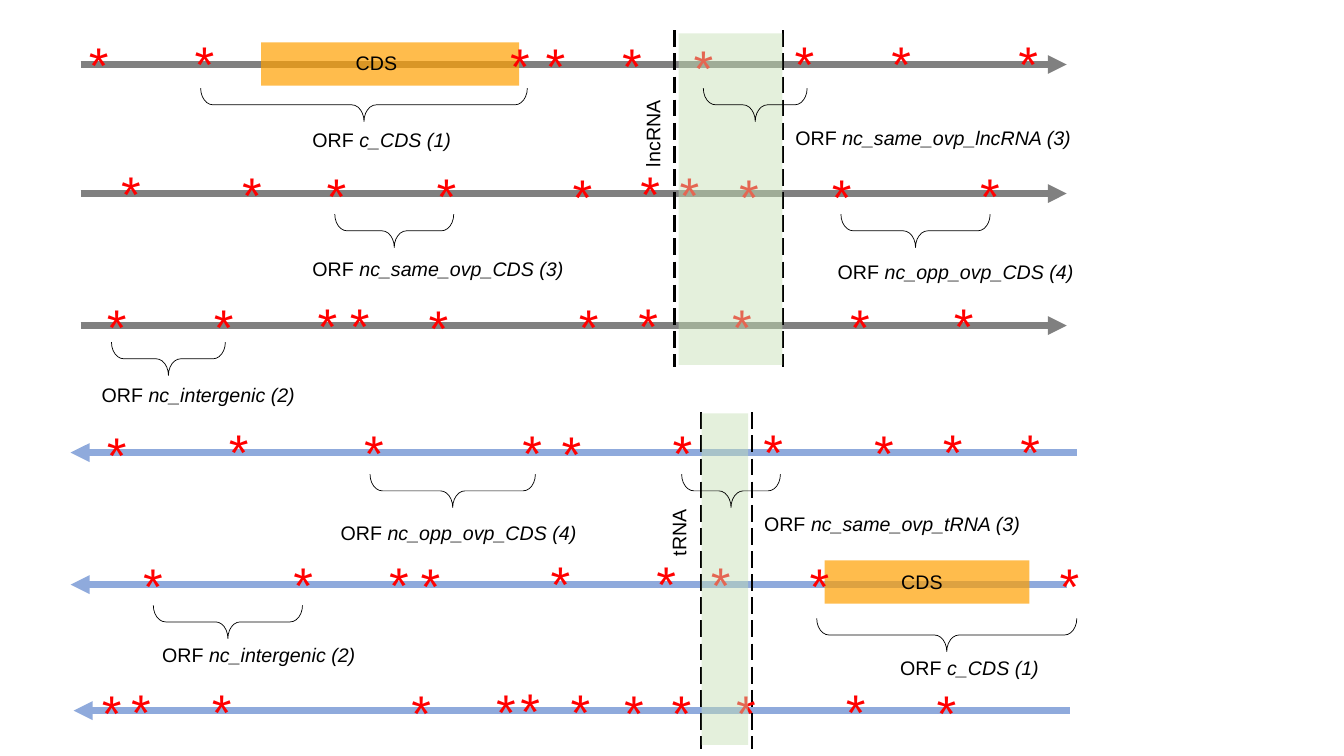
from dataclasses import dataclass

import pptx
import pptx.dml.color
import pptx.enum.dml
import pptx.enum.shapes
import pptx.enum.text
import pptx.oxml
import pptx.oxml.ns
import pptx.shapes.autoshape
import pptx.shapes.connector
import pptx.slide
import pptx.text.text
import pptx.util

Inches = pptx.util.Inches
Pt = pptx.util.Pt


@dataclass(frozen=True)
class Theme:
    forward: str = "808080"
    reverse: str = "8FAADC"
    coding: str = "FFA000"
    rna: str = "C5E0B4"
    stop: str = "FF0000"
    ink: str = "000000"
    coding_alpha: int = 70
    rna_alpha: int = 46
    label_font: str = "Arial"
    stop_font: str = "Courier New"
    label_size: float = 14
    stop_size: float = 36
    strand_width: float = 4.5
    border_width: float = 1.5
    brace_width: float = 0.5


THEME = Theme()
LABEL_HEIGHT = 0.34
BRACE_DEPTH = 0.33


@dataclass(frozen=True)
class Frame:
    """A reading frame; stops are (left, top) of each stop codon mark."""
    start: float
    end: float
    y: float
    color: str
    stops: tuple[tuple[float, float], ...]


@dataclass(frozen=True)
class Coding:
    left: float
    top: float
    width: float
    label_left: float
    label_top: float


@dataclass(frozen=True)
class RnaGene:
    name: str
    label_left: float
    label_top: float
    label_width: float
    left: float
    top: float
    width: float
    borders: tuple[float, float]
    border_top: float


@dataclass(frozen=True)
class Orf:
    """A brace given by its centre and span, with its label."""
    kind: str
    center_x: float
    center_y: float
    span: float
    label_left: float
    label_top: float
    label_width: float


FRAMES = [
    Frame(0.8, 10.58, 0.64, THEME.forward, (
        (0.73, 0.3), (1.78, 0.29), (4.91, 0.31), (5.26, 0.31), (6.02, 0.31),
        (6.73, 0.33), (7.73, 0.29), (8.69, 0.29), (9.95, 0.29))),
    Frame(0.8, 10.58, 1.92, THEME.forward, (
        (1.05, 1.58), (2.25, 1.59), (3.09, 1.6), (4.18, 1.6), (5.53, 1.61),
        (6.2, 1.58), (6.59, 1.59), (7.18, 1.61), (8.1, 1.61), (9.57, 1.6))),
    Frame(0.8, 10.58, 3.23, THEME.forward, (
        (0.91, 2.9), (1.97, 2.9), (3, 2.89), (3.32, 2.89), (4.1, 2.91),
        (5.59, 2.9), (6.18, 2.89), (7.11, 2.9), (8.28, 2.9), (9.31, 2.89))),
    Frame(10.68, 0.7, 4.49, THEME.reverse, (
        (0.91, 4.17), (2.12, 4.14), (3.46, 4.15), (5.03, 4.15), (5.42, 4.16),
        (6.52, 4.15), (7.42, 4.14), (8.52, 4.15), (9.2, 4.14), (9.97, 4.14))),
    Frame(10.58, 0.7, 5.8, THEME.reverse, (
        (1.27, 5.47), (2.76, 5.46), (3.71, 5.46), (4.02, 5.47), (5.31, 5.45),
        (6.36, 5.45), (6.9, 5.46), (7.88, 5.47), (10.36, 5.47))),
    Frame(10.61, 0.73, 7.05, THEME.reverse, (
        (0.86, 6.73), (1.15, 6.72), (1.95, 6.72), (3.93, 6.73), (4.77, 6.72),
        (5.01, 6.71), (5.51, 6.72), (6.04, 6.73), (6.51, 6.73), (7.15, 6.73),
        (8.24, 6.72), (9.14, 6.73))),
]

CODING = [
    Coding(2.59, 0.42, 2.56, 3.43, 0.46),
    Coding(8.18, 5.56, 2.03, 8.84, 5.61),
]

RNA_GENES = [
    RnaGene("lncRNA", 6.04, 1.15, 0.87, 6.73, 0.33, 1.03, (6.69, 7.77), 0.3),
    RnaGene("tRNA", 6.4, 5.11, 0.67, 6.96, 4.1, 0.46, (6.95, 7.46), 4.09),
]

# Labels of ORFs that overlap an RNA gene start right of its border
ORFS = [
    Orf("c_CDS (1)", 3.61, 1.04, 3.24, 3, 1.22, 1.59),
    Orf("nc_same_ovp_lncRNA (3)", 7.49, 1.04, 1.03, 7.79, 1.2, 2.95),
    Orf("nc_same_ovp_CDS (3)", 3.91, 2.29, 1.18, 3, 2.5, 2.71),
    Orf("nc_opp_ovp_CDS (4)", 9.08, 2.29, 1.48, 8.21, 2.53, 2.55),
    Orf("nc_intergenic (2)", 1.67, 3.56, 1.13, 0.91, 3.75, 2.13),
    Orf("nc_opp_ovp_CDS (4)", 4.49, 4.87, 1.64, 3.28, 5.12, 2.55),
    Orf("nc_same_ovp_tRNA (3)", 7.25, 4.87, 0.98, 7.48, 5.03, 2.74),
    Orf("nc_intergenic (2)", 2.26, 6.17, 1.48, 1.51, 6.33, 2.13),
    Orf("c_CDS (1)", 9.39, 6.3, 2.58, 8.83, 6.46, 1.59),
]


def rgb(color: str) -> pptx.dml.color.RGBColor:
    return pptx.dml.color.RGBColor.from_string(color)


def add_child(parent, tag: str, **attributes: str) -> None:
    child = pptx.oxml.parse_xml(f"<{tag} {pptx.oxml.ns.nsdecls('a')}/>")
    for name, value in attributes.items():
        child.set(name, value)
    parent.append(child)


def draw_line(slide: pptx.slide.Slide, start: tuple[float, float], end: tuple[float, float],
              color: str, width: float) -> pptx.shapes.connector.Connector:
    line = slide.shapes.add_connector(pptx.enum.shapes.MSO_CONNECTOR.STRAIGHT,
                                      *map(Inches, start + end))
    line.line.color.rgb = rgb(color)
    line.line.width = Pt(width)
    add_child(line.element.spPr, "a:effectLst")
    return line


def draw_block(slide: pptx.slide.Slide, left: float, top: float, width: float,
               height: float, color: str, alpha: int) -> None:
    block = slide.shapes.add_shape(pptx.enum.shapes.MSO_SHAPE.RECTANGLE,
                                   *map(Inches, (left, top, width, height)))
    block.shadow.inherit = False
    block.fill.solid()
    block.fill.fore_color.rgb = rgb(color)
    block.line.fill.background()
    tint = block.element.spPr.find(".//" + pptx.oxml.ns.qn("a:srgbClr"))
    add_child(tint, "a:alpha", val=str(alpha * 1000))


def draw_text(slide: pptx.slide.Slide, text: str, left: float, top: float, width: float,
              height: float = LABEL_HEIGHT, font: str = THEME.label_font,
              size: float = THEME.label_size, color: str = THEME.ink, italic_tail: str = "",
              rotation: float = 0) -> None:
    label = slide.shapes.add_textbox(*map(Inches, (left, top, width, height)))
    label.rotation = rotation
    label.text_frame.word_wrap = False
    label.text_frame.auto_size = pptx.enum.text.MSO_AUTO_SIZE.SHAPE_TO_FIT_TEXT
    paragraph = label.text_frame.paragraphs[0]
    paragraph.text = text
    if italic_tail:
        tail = paragraph.add_run()
        tail.text = italic_tail
        tail.font.italic = True
    for run in paragraph.runs:
        run.font.name = font
        run.font.size = Pt(size)
        run.font.color.rgb = rgb(color)


def draw_strand(slide: pptx.slide.Slide, frame: Frame) -> None:
    strand = draw_line(slide, (frame.start, frame.y), (frame.end, frame.y),
                       frame.color, THEME.strand_width)
    add_child(strand.element.spPr.find(pptx.oxml.ns.qn("a:ln")), "a:tailEnd", type="triangle")


def draw_orf(slide: pptx.slide.Slide, orf: Orf) -> None:
    brace = slide.shapes.add_shape(
        pptx.enum.shapes.MSO_SHAPE.RIGHT_BRACE, Inches(orf.center_x - BRACE_DEPTH / 2),
        Inches(orf.center_y - orf.span / 2), Inches(BRACE_DEPTH), Inches(orf.span))
    brace.rotation = 90
    brace.adjustments[0] = 0.37
    brace.shadow.inherit = False
    brace.fill.background()
    brace.line.color.rgb = rgb(THEME.ink)
    brace.line.width = Pt(THEME.brace_width)
    draw_text(slide, "ORF ", orf.label_left, orf.label_top, orf.label_width,
              italic_tail=orf.kind)


def main() -> None:
    deck = pptx.Presentation()
    deck.slide_width, deck.slide_height = Inches(13.33), Inches(7.5)
    slide = deck.slides.add_slide(deck.slide_layouts[6])

    # Strands and coding sequences
    for frame in FRAMES:
        draw_strand(slide, frame)
    for cds in CODING:
        draw_block(slide, cds.left, cds.top, cds.width, 0.43, THEME.coding, THEME.coding_alpha)
        draw_text(slide, "CDS", cds.label_left, cds.label_top, 0.62)

    # Dashed borders of the RNA genes
    for gene in RNA_GENES:
        for x in gene.borders:
            border = draw_line(slide, (x, gene.border_top), (x, gene.border_top + 3.34),
                               THEME.ink, THEME.border_width)
            border.line.dash_style = pptx.enum.dml.MSO_LINE.LONG_DASH

    # Stop codons
    for frame in FRAMES:
        for left, top in frame.stops:
            draw_text(slide, "*", left, top, 0.51, 0.71, THEME.stop_font,
                      THEME.stop_size, THEME.stop)

    # RNA genes laid over the strands
    for gene in RNA_GENES:
        draw_text(slide, gene.name, gene.label_left, gene.label_top, gene.label_width,
                  rotation=270)
        draw_block(slide, gene.left, gene.top, gene.width, 3.29, THEME.rna, THEME.rna_alpha)

    # ORF braces and labels
    for orf in ORFS:
        draw_orf(slide, orf)

    deck.save("out.pptx")


if __name__ == "__main__":
    main()
